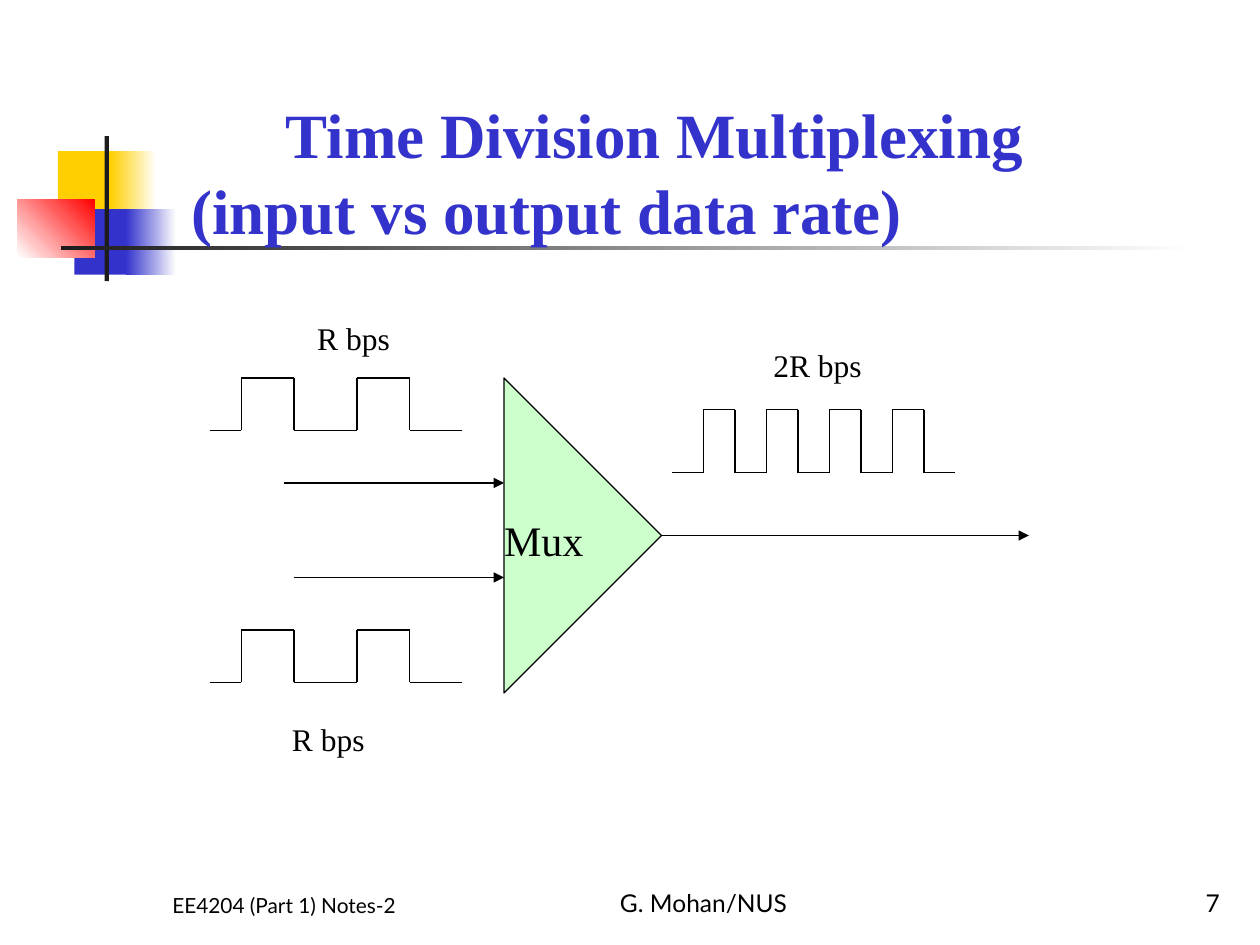
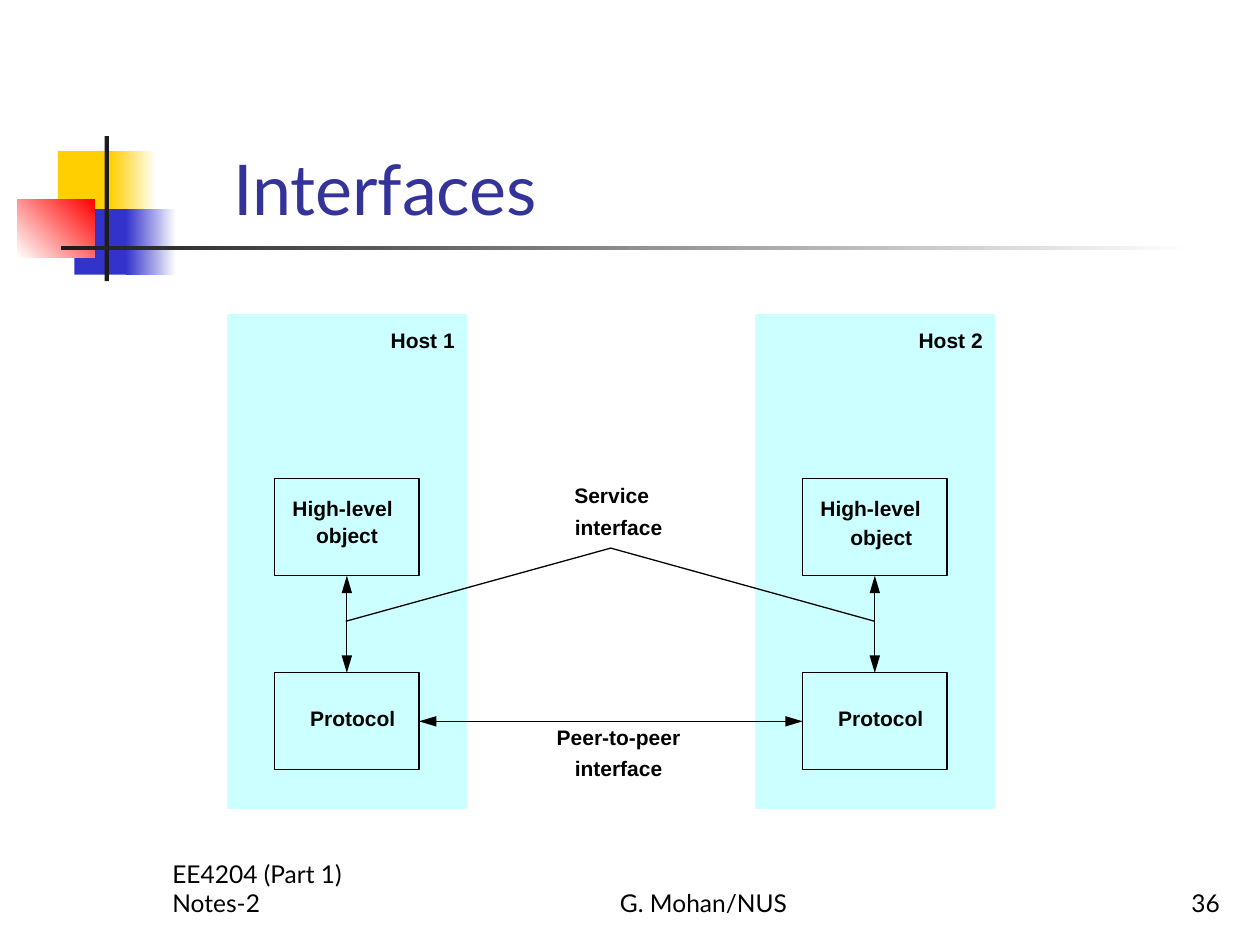
"""Build two lecture slides: time division multiplexing and protocol interfaces."""
from dataclasses import dataclass
from itertools import pairwise
from typing import NamedTuple, Optional

from lxml.etree import SubElement
from pptx import Presentation
from pptx.dml.color import RGBColor
from pptx.enum.shapes import MSO_CONNECTOR as Connector, MSO_SHAPE as Preset
from pptx.enum.text import MSO_ANCHOR as Anchor, MSO_AUTO_SIZE as AutoSize, PP_ALIGN as Align
from pptx.oxml.ns import qn
from pptx.util import Pt

COLOURS = {
    "black": "000000", "white": "FFFFFF", "ink": "1C1C1C", "yellow": "FFCF01",
    "blue": "3333CC", "navy": "333399", "red": "FF0000", "mint": "CCFFCC", "aqua": "CCFFFF",
}
LINE_WIDTH = 0.75


class Frame(NamedTuple):
    left: float
    top: float
    width: float
    height: float


@dataclass(frozen=True)
class TextStyle:
    name: str
    size: float
    bold: bool = False
    colour: str = "black"
    alignment: Align = Align.LEFT
    anchor: Anchor = Anchor.TOP
    margin_x: float = 7.2
    margin_y: float = 3.6
    wrap: bool = True
    indent: float = 0


@dataclass(frozen=True)
class Band:
    frame: Frame
    colour: str
    end_colour: Optional[str] = None
    angle: float = 0


@dataclass(frozen=True)
class Label:
    text: str
    frame: Frame


@dataclass(frozen=True)
class Waveform:
    edges: tuple
    low: float
    high: float


@dataclass(frozen=True)
class Host:
    name: str
    left: float
    object_shift: Frame


BANDS = (
    Band(Frame(33.1, 86.4, 34.6, 37.4), "yellow"),
    Band(Frame(63.4, 86.4, 25.9, 37.4), "yellow", "white"),
    Band(Frame(42.5, 119.5, 33.1, 37.4), "blue"),
    Band(Frame(72, 119.5, 28.8, 37.4), "blue", "white"),
    Band(Frame(10, 113.8, 44, 33.1), "white", "red", 45),
    Band(Frame(59.8, 77.8, 2.5, 82.8), "ink"),
    Band(Frame(34.6, 140.4, 648, 2.5), "ink", "white"),
)

SERIF = "Times New Roman"
TDM_TITLE = TextStyle(SERIF, 36, True, "blue", indent=54)
INTERFACES_TITLE = TextStyle("Lato", 40, colour="navy", anchor=Anchor.BOTTOM)
RATE = TextStyle(SERIF, 18)
MUX = TextStyle(SERIF, 24, margin_x=0, margin_y=0, wrap=False)
DIAGRAM = TextStyle("Arial", 12, True, alignment=Align.CENTER, margin_x=0, margin_y=0, wrap=False)

INPUT_EDGES = (120, 138, 168, 204, 234, 264)
WAVEFORMS = (
    Waveform(INPUT_EDGES, 390, 360),
    Waveform(INPUT_EDGES, 246, 216),
    Waveform(tuple(range(384, 547, 18)), 270, 234),
)
SIGNAL_ARROWS = (((162, 276), (288, 276)), ((168, 330), (288, 330)), ((378, 306), (588, 306)))
RATES = (
    Label("R bps", Frame(174.2, 178.6, 75, 28.8)),
    Label("R bps", Frame(159.8, 408.2, 75, 28.8)),
    Label("2R bps", Frame(434.9, 194.4, 75, 28.8)),
)
HOSTS = (
    Host("Host 1", 130.3, Frame(0, 0, 0, 0)),
    Host("Host 2", 432, Frame(3.6, 0.7, 0, 0)),
)
INTERFACE_LABELS = (
    Label("Service", Frame(328.3, 275.8, 42.5, 14.4)),
    Label("interface", Frame(328.3, 293.8, 50.4, 14.4)),
    Label("Peer-to-peer", Frame(316, 414, 75, 14.4)),
    Label("interface", Frame(328.3, 432, 50.4, 14.4)),
)


def rgb(colour: str) -> RGBColor:
    return RGBColor.from_string(COLOURS[colour])


def set_attributes(target, values: dict) -> None:
    for name, value in values.items():
        setattr(target, name, value)


def points(frame: Frame) -> tuple:
    return tuple(Pt(length) for length in frame)


def write_text(shape, text: str, style: TextStyle) -> None:
    text_frame = shape.text_frame
    set_attributes(text_frame, {
        "auto_size": AutoSize.NONE, "word_wrap": style.wrap, "vertical_anchor": style.anchor,
        "margin_left": Pt(style.margin_x), "margin_right": Pt(style.margin_x),
        "margin_top": Pt(style.margin_y), "margin_bottom": Pt(style.margin_y),
    })
    paragraph = text_frame.paragraphs[0]
    set_attributes(paragraph, {"alignment": style.alignment, "line_spacing": 1.0})
    if style.indent:
        paragraph._p.get_or_add_pPr().set("indent", str(Pt(style.indent)))
    run = paragraph.add_run()
    run.text = text
    set_attributes(run.font, {"name": style.name, "size": Pt(style.size), "bold": style.bold})
    run.font.color.rgb = rgb(style.colour)


def add_label(slide, label: Label, style: TextStyle) -> None:
    write_text(slide.shapes.add_textbox(*points(label.frame)), label.text, style)


def format_shape(shape, fill: Optional[str], line: Optional[str], width: float = LINE_WIDTH):
    shape.shadow.inherit = False
    if fill:
        shape.fill.solid()
        shape.fill.fore_color.rgb = rgb(fill)
    else:
        shape.fill.background()
    if line:
        shape.line.color.rgb = rgb(line)
        shape.line.width = Pt(width)
    else:
        shape.line.fill.background()
    return shape


def add_rectangle(slide, frame: Frame, fill: Optional[str], line: Optional[str],
                  width: float = LINE_WIDTH):
    shape = slide.shapes.add_shape(Preset.RECTANGLE, *points(frame))
    return format_shape(shape, fill, line, width)


def add_line(slide, start: tuple, end: tuple, heads: tuple = (), length: str = "med"):
    connector = slide.shapes.add_connector(
        Connector.STRAIGHT, *(Pt(value) for value in (*start, *end)))
    connector.line.color.rgb = rgb("black")
    connector.line.width = Pt(LINE_WIDTH)
    line = connector.line._get_or_add_ln()
    for head in heads:
        SubElement(line, qn(f"a:{head}"), type="triangle", w="med", len=length)
    SubElement(connector.element.spPr, qn("a:effectLst"))
    return connector


def join(slide, start_shape, start_site: int, end_shape, end_site: int) -> None:
    connector = add_line(slide, (0, 0), (0, 0), ("headEnd", "tailEnd"), "lg")
    connector.begin_connect(start_shape, start_site)
    connector.end_connect(end_shape, end_site)


def add_bands(slide, layout) -> None:
    for position, band in enumerate(BANDS, start=2):
        shape = add_rectangle(slide, band.frame, band.colour, None)
        if band.end_colour:
            shape.fill.gradient()
            shape.fill.gradient_angle = band.angle
            for stop, colour in zip(shape.fill.gradient_stops, (band.colour, band.end_colour)):
                stop.color.rgb = rgb(colour)
        layout.shapes.element.insert(position, shape.element)


def add_title(slide, text: str, frame: Frame, style: TextStyle) -> None:
    title = slide.shapes.title
    set_attributes(title, dict(zip(("left", "top", "width", "height"), points(frame))))
    write_text(title, text, style)


def add_footers(slide, number: int, course_size: float) -> None:
    for text, left, width, size, alignment in (
        ("EE4204 (Part 1) Notes-2", 91.4, 149.8, course_size, Align.LEFT),
        ("G. Mohan/NUS", 288, 228.2, 14, Align.CENTER),
        (str(number), 554.4, 149.8, 14, Align.RIGHT),
    ):
        style = TextStyle("Lato", size, alignment=alignment, anchor=Anchor.BOTTOM)
        add_label(slide, Label(text, Frame(left, 491.8, width, 36)), style)


def add_waveform(slide, waveform: Waveform) -> None:
    levels = (waveform.low, waveform.high)
    corners = []
    for index, (start, end) in enumerate(pairwise(waveform.edges)):
        level = levels[index % 2]
        corners += [(start, level), (end, level)]
    for start, end in pairwise(corners):
        add_line(slide, start, end)


def build_multiplexing(slide) -> None:
    add_title(slide, "Time Division Multiplexing (input vs output data rate)",
              Frame(102.2, 51, 563.8, 93.6), TDM_TITLE)
    triangle = slide.shapes.add_shape(
        Preset.ISOSCELES_TRIANGLE, *points(Frame(243, 261, 180, 90)))
    triangle.rotation = 90
    format_shape(triangle, "mint", "black")
    add_label(slide, Label("Mux", Frame(288, 294, 46, 28)), MUX)
    for start, end in SIGNAL_ARROWS:
        add_line(slide, start, end, ("tailEnd",))
    for waveform in WAVEFORMS:
        add_waveform(slide, waveform)
    for rate in RATES:
        add_label(slide, rate, RATE)
    add_footers(slide, 7, 11.9)


def add_host(slide, host: Host):
    left, shift = host.left, host.object_shift
    add_rectangle(slide, Frame(left, 180.3, 136.1, 281.2), "aqua", "aqua", 1.5)
    high_level, protocol = (
        add_rectangle(slide, Frame(left + 26.7, top, 82.4, 55.4), None, "black")
        for top in (273.6, 384.5))
    for label in (
        Label(host.name, Frame(left + 92.9, 187.2, 36.7, 14.4)),
        Label("High-level", Frame(left + 36.7, 283, 57.6, 14.4)),
        Label("object", Frame(left + 50.4 + shift.left, 298.8 + shift.top, 35.3, 14.4)),
        Label("Protocol", Frame(left + 46.8, 403.2, 49, 14.4)),
    ):
        add_label(slide, label, DIAGRAM)
    join(slide, high_level, 2, protocol, 0)
    return protocol


def build_interfaces(slide) -> None:
    add_title(slide, "Interfaces", Frame(126, 60, 594, 74.6), INTERFACES_TITLE)
    first_protocol, second_protocol = [add_host(slide, host) for host in HOSTS]
    join(slide, first_protocol, 3, second_protocol, 1)
    builder = slide.shapes.build_freeform(Pt(197.6), Pt(355))
    builder.add_line_segments([(Pt(349), Pt(313.2)), (Pt(499.8), Pt(355))], close=False)
    format_shape(builder.convert_to_shape(), None, "black")
    for label in INTERFACE_LABELS:
        add_label(slide, label, DIAGRAM)
    add_footers(slide, 36, 14)


def main() -> None:
    presentation = Presentation()
    set_attributes(presentation, {"slide_width": Pt(720), "slide_height": Pt(540)})
    layout = presentation.slide_layouts[5]
    slides = [presentation.slides.add_slide(layout) for _ in range(2)]
    add_bands(slides[0], layout)
    build_multiplexing(slides[0])
    build_interfaces(slides[1])
    presentation.save("out.pptx")


if __name__ == "__main__":
    main()
